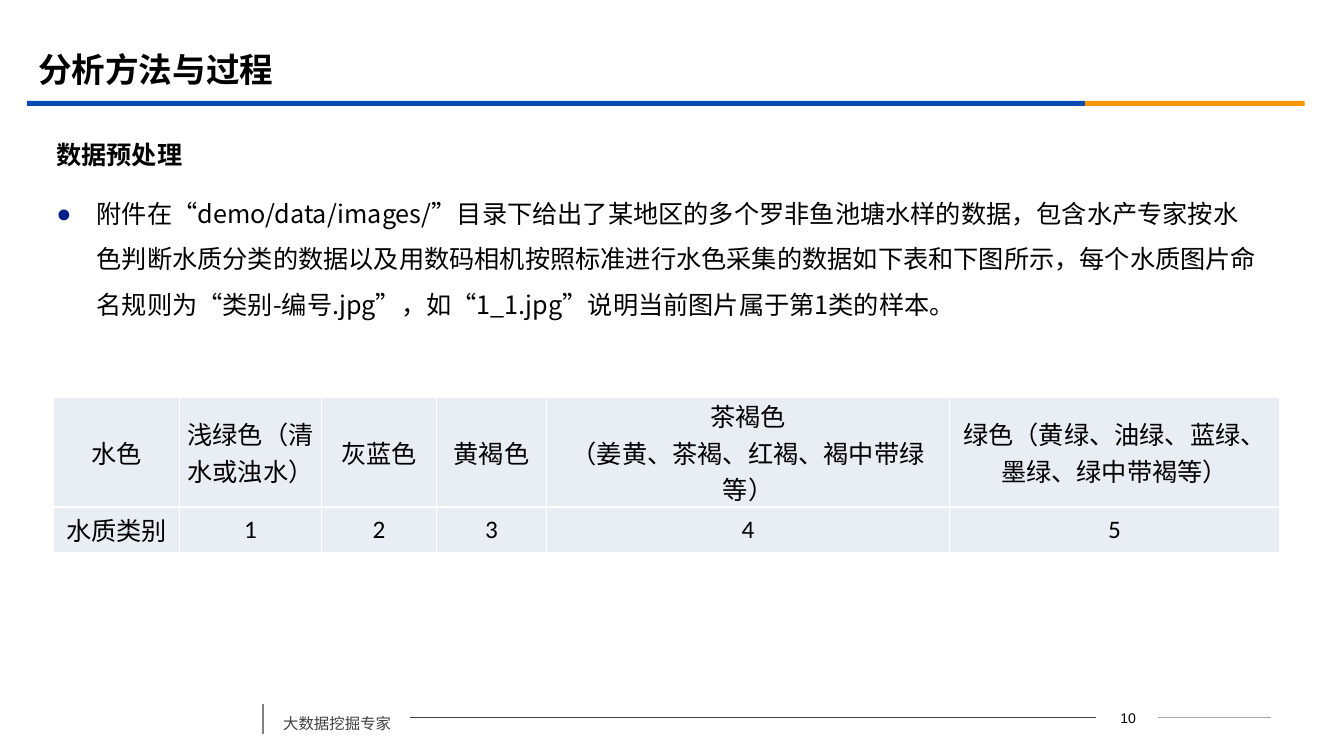
from dataclasses import dataclass

from lxml.etree import SubElement
from pptx import Presentation
from pptx.dml.color import RGBColor
from pptx.enum.shapes import MSO_CONNECTOR as Link, MSO_SHAPE as Form
from pptx.enum.text import MSO_ANCHOR as Anchor, PP_ALIGN as Align
from pptx.oxml.ns import qn
from pptx.util import Inches, Pt

SANS = "Noto Sans CJK SC"


@dataclass
class Style:
    size: float
    color: str = "000000"
    bold: bool = False
    font: str = SANS


@dataclass
class Para:
    text: str
    style: Style
    align: Align = Align.LEFT
    spacing: float = 1.0
    before: float = 0
    bullet: bool = False


@dataclass
class Box:
    left: float
    top: float
    width: float
    height: float
    paras: list[Para]
    anchor: Anchor = Anchor.TOP


@dataclass
class Bar:
    left: float
    width: float
    color: str


@dataclass
class Line:
    start: tuple[float, float]
    end: tuple[float, float]
    color: str
    weight: float


HEAD = Style(24, bold=True)
SUB = Style(18, bold=True)
BODY = Style(18)
CELL = Style(18, font="Calibri")
INTRO = (
    "附件在“demo/data/images/”目录下给出了某地区的多个罗非鱼池塘水样的数据，"
    "包含水产专家按水色判断水质分类的数据以及用数码相机按照标准进行水色采集的数据"
    "如下表和下图所示，每个水质图片命名规则为“类别-编号.jpg”，"
    "如“1_1.jpg”说明当前图片属于第1类的样本。"
)
BARS = [Bar(0.27, 10.49, "064BB2"), Bar(10.76, 2.18, "FB9708")]
LINES = [
    Line((11.49, 7.12), (12.61, 7.12), "A6A6A6", 0.75),
    Line((4.07, 7.12), (10.87, 7.12), "404040", 0.75),
    Line((2.61, 6.98), (2.61, 7.28), "808080", 1.25),
]
BOXES = [
    Box(10.88, 7, 0.62, 0.25,
        [Para("10", Style(10, font="Arial"), Align.CENTER)], Anchor.MIDDLE),
    Box(2.71, 6.94, 1.36, 0.38,
        [Para("大数据挖掘专家", Style(11, "404040"), spacing=1.5, before=6)]),
    Box(0.46, 1.18, 12.15, 2.5,
        [Para("数据预处理", SUB, spacing=1.5, before=10),
         Para(INTRO, BODY, spacing=1.5, before=10, bullet=True)]),
    Box(0.28, 0.39, 12, 0.58, [Para("分析方法与过程", HEAD)], Anchor.MIDDLE),
]
COLS = [1.25, 1.41, 1.14, 1.09, 4, 3.27]
ROWS = [1.09, 0.45]
COLORS = ["水色", "浅绿色（清水或浊水）", "灰蓝色", "黄褐色",
          "茶褐色\n（姜黄、茶褐、红褐、褐中带绿等）",
          "绿色（黄绿、油绿、蓝绿、墨绿、绿中带褐等）"]
CLASSES = ["水质类别", "1", "2", "3", "4", "5"]


def rgb(color: str) -> RGBColor:
    return RGBColor.from_string(color)


def add_bullet(para) -> None:
    props = para._p.get_or_add_pPr()
    props.set("marL", str(Inches(0.4)))
    props.set("indent", str(-Inches(0.4)))
    SubElement(SubElement(props, qn("a:buClr")), qn("a:srgbClr"), val="032089")
    SubElement(props, qn("a:buFont"), typeface="Arial")
    SubElement(props, qn("a:buChar"), char="●")


def fill_text(frame, paras: list[Para]) -> None:
    for i, item in enumerate(paras):
        para = frame.paragraphs[0] if i == 0 else frame.add_paragraph()
        para.alignment = item.align
        para.line_spacing = item.spacing
        para.space_before = Pt(item.before)
        if item.bullet:
            add_bullet(para)
        run = para.add_run()
        run.text = item.text
        font, style = run.font, item.style
        font.size, font.bold, font.name = Pt(style.size), style.bold, style.font
        font.color.rgb = rgb(style.color)
        props = run._r.get_or_add_rPr()
        props.set("lang", "zh-CN")
        SubElement(props, qn("a:ea"), typeface=SANS)


def add_box(shapes, box: Box) -> None:
    area = map(Inches, (box.left, box.top, box.width, box.height))
    frame = shapes.add_textbox(*area).text_frame
    frame.word_wrap = True
    frame.vertical_anchor = box.anchor
    fill_text(frame, box.paras)


def add_bar(shapes, bar: Bar) -> None:
    area = map(Inches, (bar.left, 1, bar.width, 0.05))
    shape = shapes.add_shape(Form.RECTANGLE, *area)
    shape.shadow.inherit = False
    shape.fill.solid()
    shape.fill.fore_color.rgb = rgb(bar.color)
    shape.line.fill.background()


def add_line(shapes, line: Line) -> None:
    ends = map(Inches, (*line.start, *line.end))
    link = shapes.add_connector(Link.STRAIGHT, *ends)
    link.line.color.rgb = rgb(line.color)
    link.line.width = Pt(line.weight)
    SubElement(link._element.spPr, qn("a:effectLst"))


def style_cell(cell, text: str) -> None:
    cell.margin_left = cell.margin_right = Inches(0.07)
    cell.margin_top = cell.margin_bottom = 0
    cell.vertical_anchor = Anchor.MIDDLE
    paras = [Para(part, CELL, Align.CENTER) for part in text.split("\n")]
    fill_text(cell.text_frame, paras)
    props = cell._tc.get_or_add_tcPr()
    for side in ("lnL", "lnR", "lnT", "lnB"):
        edge = SubElement(props, qn(f"a:{side}"), w=str(Pt(1)))
        paint = SubElement(edge, qn("a:solidFill"))
        SubElement(paint, qn("a:srgbClr"), val="FFFFFF")
    cell.fill.solid()
    cell.fill.fore_color.rgb = rgb("E9EDF4")


def add_grid(shapes) -> None:
    area = map(Inches, (0.53, 3.94, sum(COLS), sum(ROWS)))
    table = shapes.add_table(len(ROWS), len(COLS), *area).table
    table.first_row = table.horz_banding = False
    for col, width in zip(table.columns, COLS):
        col.width = Inches(width)
    for row, height, texts in zip(table.rows, ROWS, (COLORS, CLASSES)):
        row.height = Inches(height)
        for cell, text in zip(row.cells, texts):
            style_cell(cell, text)


def main() -> None:
    deck = Presentation()
    deck.slide_width, deck.slide_height = Inches(13.33), Inches(7.5)
    shapes = deck.slides.add_slide(deck.slide_layouts[6]).shapes
    for bar in BARS:
        add_bar(shapes, bar)
    for line in LINES:
        add_line(shapes, line)
    for box in BOXES:
        add_box(shapes, box)
    add_grid(shapes)
    deck.save("out.pptx")


if __name__ == "__main__":
    main()
